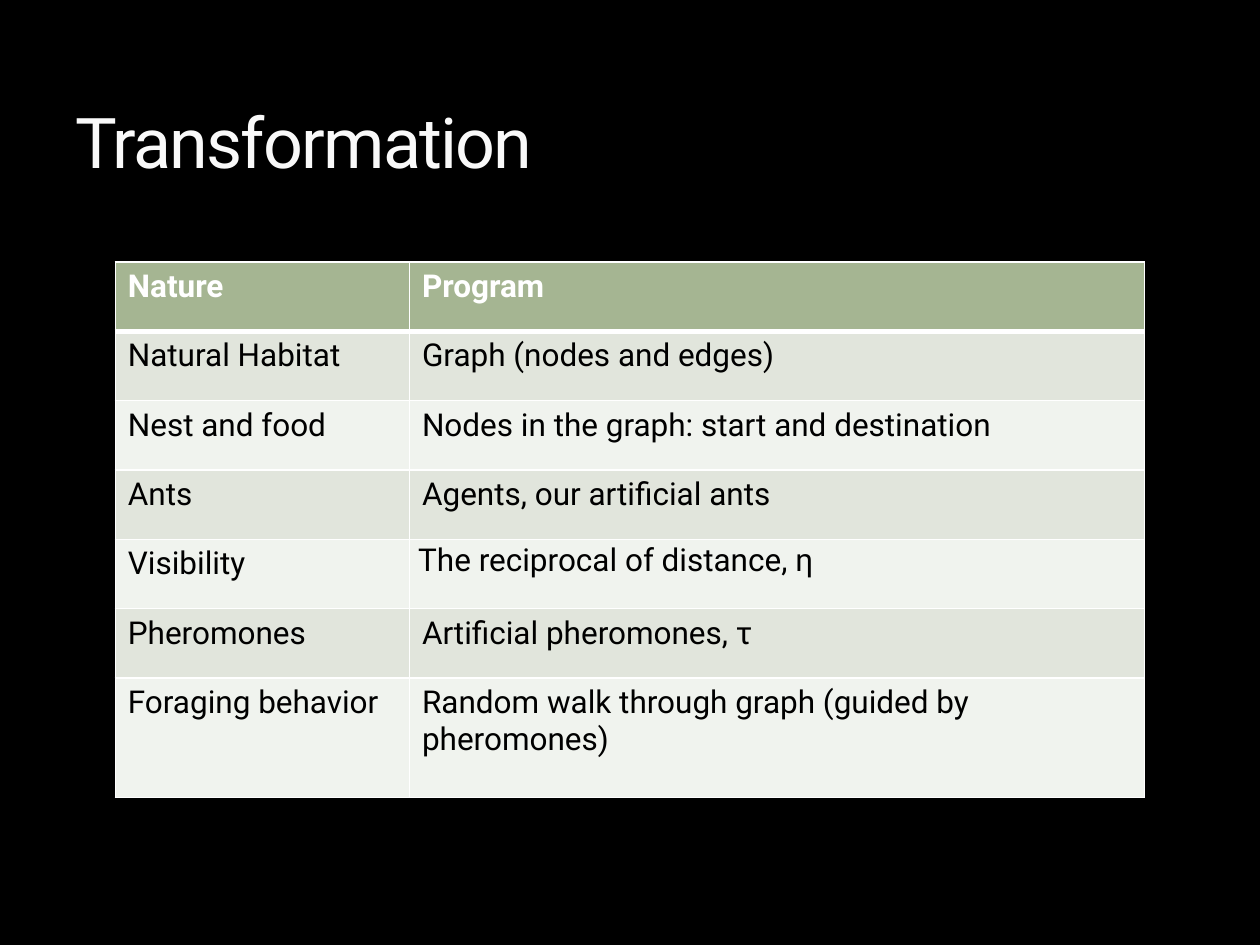
"""Build the Transformation slide, which maps ant behaviour to program parts."""
import dataclasses

import lxml.etree
import pptx
import pptx.dml.color
import pptx.enum.text
import pptx.oxml.ns
import pptx.util


@dataclasses.dataclass(frozen=True)
class Theme:
    font: str = "Roboto"
    background: str = "000000"
    title: str = "F9F9F9"
    title_outline: str = "3C4422"
    header_fill: str = "A5B592"
    header_text: str = "FFFFFF"
    body_text: str = "000000"
    bands: tuple = ("E1E5DC", "F0F3EE")
    border: str = "FFFFFF"
    title_size: float = 40
    table_size: float = 18
    thin: float = 1
    thick: float = 3


THEME = Theme()
WIDTH, HEIGHT = 10, 7.5
COLUMNS = (2.335, 5.835)
ROW, LAST_ROW = 0.55, 0.95
MAPPING = (
    ("Nature", "Program"),
    ("Natural Habitat", "Graph (nodes and edges)"),
    ("Nest and food", "Nodes in the graph: start and destination"),
    ("Ants", "Agents, our artificial ants"),
    ("Visibility", "The reciprocal of distance, η"),
    ("Pheromones", "Artificial pheromones, τ"),
    ("Foraging behavior", "Random walk through graph (guided by pheromones)"),
)
VISIBILITY_ROW = 4


def rgb(code):
    return pptx.dml.color.RGBColor.from_string(code)


def make_line(tag, points, color, alpha=100):
    line = lxml.etree.Element(pptx.oxml.ns.qn(tag), w=str(int(pptx.util.Pt(points))))
    fill = lxml.etree.SubElement(line, pptx.oxml.ns.qn("a:solidFill"))
    shade = lxml.etree.SubElement(fill, pptx.oxml.ns.qn("a:srgbClr"), val=color)
    if alpha < 100:
        lxml.etree.SubElement(shade, pptx.oxml.ns.qn("a:alpha"), val=str(alpha * 1000))
    return line


def style_font(font, size, color, bold=False):
    font.name = THEME.font
    font.size = pptx.util.Pt(size)
    font.bold = bold
    font.color.rgb = rgb(color)


def add_title(slide, wording):
    box = slide.shapes.add_textbox(*map(pptx.util.Inches, (0.5, 0.17, WIDTH - 1, 1.33)))
    frame = box.text_frame
    frame.word_wrap = True
    frame.vertical_anchor = pptx.enum.text.MSO_ANCHOR.BOTTOM
    heading = frame.paragraphs[0].add_run()
    heading.text = wording
    style_font(heading.font, THEME.title_size, THEME.title)
    properties = heading.font._element
    properties.set("spc", "-100")
    properties.insert(0, make_line("a:ln", 0.25, THEME.title_outline, alpha=25))


def add_borders(cell, top, bottom):
    properties = cell._tc.get_or_add_tcPr()
    edges = (("a:lnL", THEME.thin), ("a:lnR", THEME.thin), ("a:lnT", top), ("a:lnB", bottom))
    for position, (tag, points) in enumerate(edges):
        properties.insert(position, make_line(tag, points, THEME.border))


def fill_cell(cell, wording, row):
    is_header = row == 0
    cell.text = wording
    cell.fill.solid()
    cell.fill.fore_color.rgb = rgb(THEME.header_fill if is_header else THEME.bands[(row - 1) % 2])
    style_font(cell.text_frame.paragraphs[0].font, THEME.table_size,
               THEME.header_text if is_header else THEME.body_text, is_header)
    add_borders(cell, THEME.thick if row == 1 else THEME.thin,
                THEME.thick if is_header else THEME.thin)


def add_mapping(slide):
    heights = [ROW] * (len(MAPPING) - 1) + [LAST_ROW]
    frame = slide.shapes.add_table(
        len(MAPPING), len(COLUMNS),
        *map(pptx.util.Inches, ((WIDTH - sum(COLUMNS)) / 2, 2.08, sum(COLUMNS), sum(heights))))
    table = frame.table
    table.horz_banding = False
    for column, width in zip(table.columns, COLUMNS):
        column.width = pptx.util.Inches(width)
    for row, (height, entries) in enumerate(zip(heights, MAPPING)):
        table.rows[row].height = pptx.util.Inches(height)
        for column, wording in enumerate(entries):
            fill_cell(table.cell(row, column), wording, row)
    distance = table.cell(VISIBILITY_ROW, 1)
    distance.margin_left = distance.margin_right = pptx.util.Inches(0.07)
    distance.margin_top = distance.margin_bottom = 0
    distance.text_frame.paragraphs[0].line_spacing = 1.07


def main():
    deck = pptx.Presentation()
    deck.slide_width = pptx.util.Inches(WIDTH)
    deck.slide_height = pptx.util.Inches(HEIGHT)
    slide = deck.slides.add_slide(deck.slide_layouts[6])
    slide.background.fill.solid()
    slide.background.fill.fore_color.rgb = rgb(THEME.background)
    add_title(slide, "Transformation")
    add_mapping(slide)
    deck.save("out.pptx")


main()
